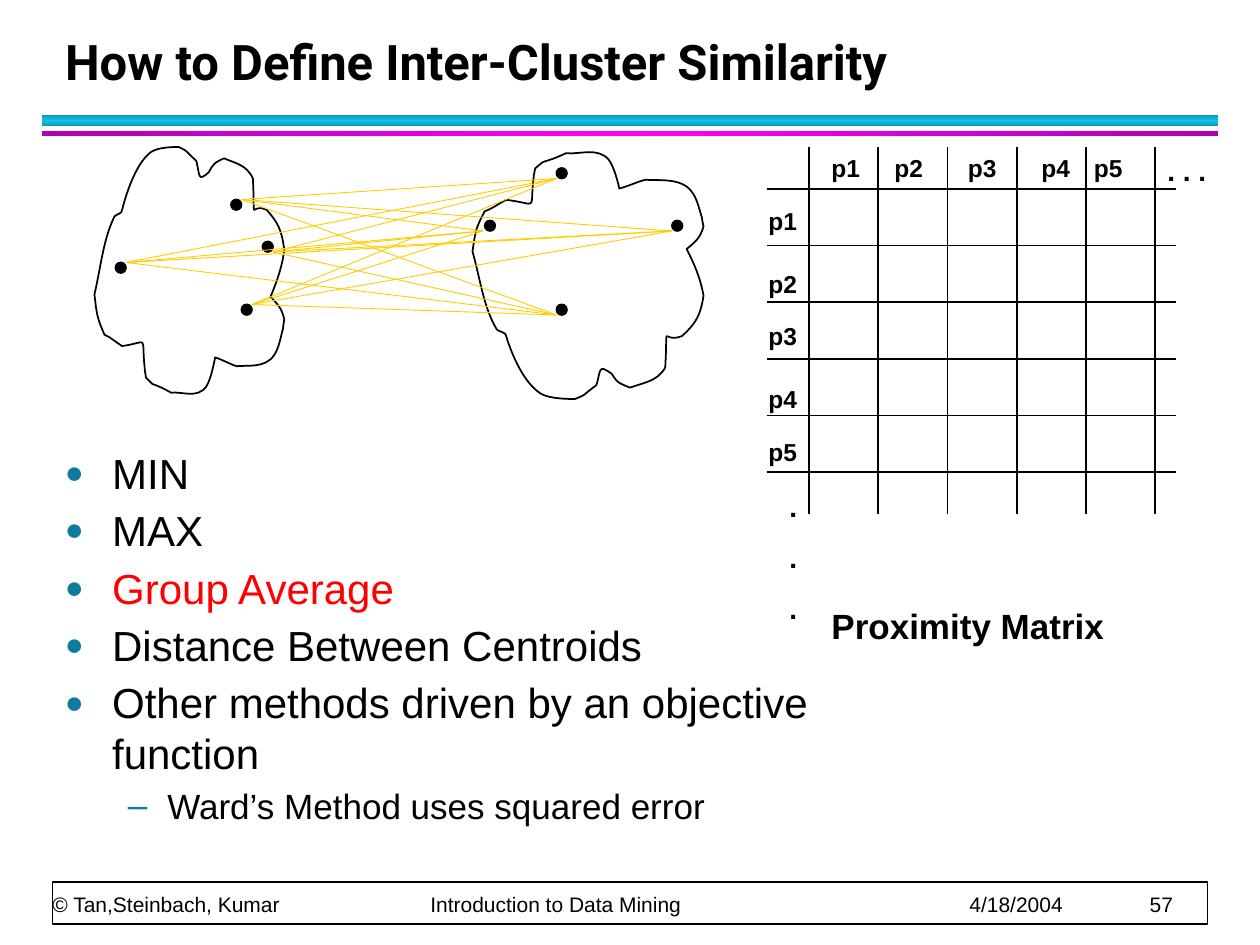
from itertools import product

from lxml import etree
from pptx import Presentation
from pptx.dml.color import RGBColor
from pptx.enum.shapes import MSO_CONNECTOR as CONN, MSO_SHAPE as SHAPE
from pptx.enum.text import MSO_ANCHOR as ANCHOR, MSO_AUTO_SIZE as AUTO, PP_ALIGN as ALIGN
from pptx.oxml import parse_xml
from pptx.oxml.ns import nsdecls, qn
from pptx.util import Pt

COLORS = {
    "black": "000000", "white": "FFFFFF", "red": "FF0000", "link": "FFCC00",
    "bullet": "0C7B9C", "teal": "0E9AB9", "cyan": "12C2E9",
    "purple": "B100B1", "magenta": "FF00FF",
}

OUTLINE_SIZE = (151, 200)
OUTLINE_START = (16, 55)
OUTLINE_CURVES = [
    (7, 73, 5, 96, 0, 117), (2, 134, 2, 135, 8, 149),
    (13, 151, 17, 155, 22, 158), (44, 155, 37, 148, 40, 176),
    (40, 179, 41, 181, 41, 183), (48, 190, 44, 187, 51, 190),
    (54, 191, 61, 195, 61, 195), (70, 194, 82, 200, 89, 190),
    (93, 184, 96, 167, 96, 167), (102, 169, 107, 172, 113, 174),
    (121, 173, 136, 176, 143, 165), (147, 159, 148, 151, 150, 144),
    (150, 142, 151, 137, 151, 137), (149, 128, 146, 125, 140, 119),
    (145, 107, 149, 96, 151, 82), (149, 66, 146, 60, 137, 50),
    (123, 43, 128, 65, 126, 25), (121, 14, 112, 13, 103, 9),
    (97, 12, 95, 12, 91, 20), (82, 28, 84, 23, 81, 11),
    (70, 1, 75, 4, 67, 0), (63, 0, 51, 0, 45, 4),
    (34, 12, 26, 34, 22, 50), (22, 53, 18, 53, 16, 55),
]

LEFT_DOTS = [(138, 174), (150, 138), (66, 150), (132, 114)]
RIGHT_DOTS = [(318, 174), (277, 126), (318, 96), (384, 126)]
LEFT_ENDS = [(144, 174), (156, 144), (72, 150), (138, 114)]
RIGHT_ENDS = [(318, 180), (276, 132), (318, 102), (384, 132)]

COLUMN_LABEL_X = [468, 504, 546, 588, 618]
ROW_LABEL_Y = [114, 150, 180, 216, 246]

METHODS = [
    ("MIN", "black", 0), ("MAX", "black", 0), ("Group Average", "red", 0),
    ("Distance Between Centroids", "black", 0),
    ("Other methods driven by an objective function", "black", 0),
    ("Ward’s Method uses squared error", "black", 1),
]
LEVELS = [("●", 24, 27, -27), ("–", 20, 58.5, -22.5)]


def rgb(name):
    return RGBColor.from_string(COLORS[name])


def add_run(p, text, size, color="black", bold=False, font="Arial"):
    r = p.add_run()
    r.text = text
    r.font.name = font
    r.font.size = Pt(size)
    r.font.bold = bold
    r.font.color.rgb = rgb(color)


def add_box(s, left, top, width, height):
    tf = s.shapes.add_textbox(Pt(left), Pt(top), Pt(width), Pt(height)).text_frame
    tf.word_wrap = True
    return tf


def add_label(s, left, top, lines, size=14, width=42, height=24.5):
    tf = add_box(s, left, top, width, height)
    for i, text in enumerate(lines):
        p = tf.add_paragraph() if i else tf.paragraphs[0]
        p.space_before = Pt(size * 0.625)
        add_run(p, text, size, bold=True)


def add_line(s, start, end, color="black", width=1):
    points = [Pt(v) for v in (*start, *end)]
    line = s.shapes.add_connector(CONN.STRAIGHT, *points)
    line.line.color.rgb = rgb(color)
    line.line.width = Pt(width)
    etree.SubElement(line._element.spPr, qn("a:effectLst"))


def add_solid(s, kind, left, top, width, height, fill):
    sp = s.shapes.add_shape(kind, Pt(left), Pt(top), Pt(width), Pt(height))
    sp.shadow.inherit = False
    sp.fill.solid()
    sp.fill.fore_color.rgb = rgb(fill)
    sp.line.color.rgb = rgb("black")
    sp.line.width = Pt(1)
    return sp


def add_band(s, top, height, edge, middle, angle):
    sp = add_solid(s, SHAPE.RECTANGLE, 24, top, 672, height, edge)
    sp.line.fill.background()
    stops = "".join(
        f'<a:gs pos="{pos}"><a:srgbClr val="{COLORS[name]}"/></a:gs>'
        for pos, name in ((0, edge), (50000, middle), (100000, edge)))
    grad = parse_xml(
        f'<a:gradFill {nsdecls("a")} rotWithShape="1"><a:gsLst>{stops}</a:gsLst>'
        f'<a:lin ang="{angle * 60000}" scaled="0"/></a:gradFill>')
    solid = sp._element.spPr.find(qn("a:solidFill"))
    solid.getparent().replace(solid, grad)


def add_cluster(s, left, top, width, height, dots, flipped=False):
    w, h = OUTLINE_SIZE

    def place(x, y):
        y = h - y if flipped else y
        return Pt(left + x * width / w), Pt(top + y * height / h)

    curves = [[place(*c[i:i + 2]) for i in (0, 2, 4)] for c in OUTLINE_CURVES]
    fb = s.shapes.build_freeform(*place(*OUTLINE_START))
    fb.add_line_segments([c[-1] for c in curves], close=True)
    sp = fb.convert_to_shape()
    segments = list(sp._element.iter(qn("a:lnTo")))
    for segment, curve in zip(segments, curves):
        bezier = etree.Element(qn("a:cubicBezTo"))
        for x, y in curve:
            etree.SubElement(bezier, qn("a:pt"), x=str(x - sp.left), y=str(y - sp.top))
        segment.getparent().replace(segment, bezier)
    sp.shadow.inherit = False
    sp.fill.background()
    sp.line.color.rgb = rgb("black")
    sp.line.width = Pt(1)
    for x, y in dots:
        add_solid(s, SHAPE.OVAL, x, y, 6, 6, "black")


def add_matrix(s):
    for i in range(6):
        x, y = 462.2 + 39.6 * i, 107.9 + 32.4 * i
        add_line(s, (x, 84), (x, 294))
        add_line(s, (438.2, y), (672, y))
    for i, (x, y) in enumerate(zip(COLUMN_LABEL_X, ROW_LABEL_Y), 1):
        add_label(s, x, 84, [f"p{i}"])
        add_label(s, 432, y, [f"p{i}"])
    add_label(s, 660, 84, [". . ."], 16, height=26.5)
    add_label(s, 444, 276, ["."] * 3, 16, height=85)
    add_label(s, 468, 342, ["Proximity Matrix"], 20, 198, 31.5)


def add_methods(s):
    tf = add_box(s, 30, 252, 456, 246)
    for i, (text, color, level) in enumerate(METHODS):
        p = tf.add_paragraph() if i else tf.paragraphs[0]
        char, size, margin, indent = LEVELS[level]
        p.level = level
        p.space_before = p.space_after = Pt(2)
        add_run(p, text, size, color)
        pPr = p._p.get_or_add_pPr()
        pPr.set("marL", str(Pt(margin)))
        pPr.set("indent", str(Pt(indent)))
        clr = etree.SubElement(pPr, qn("a:buClr"))
        etree.SubElement(clr, qn("a:srgbClr"), val=COLORS["bullet"])
        if level == 0:
            etree.SubElement(pPr, qn("a:buSzPct"), val="75000")
        etree.SubElement(pPr, qn("a:buFont"), typeface="Arial")
        etree.SubElement(pPr, qn("a:buChar"), char=char)


def add_title(s):
    title = s.shapes.title
    title.left, title.top, title.width, title.height = Pt(30), Pt(12.5), Pt(652), Pt(43)
    tf = title.text_frame
    tf.auto_size = AUTO.NONE
    tf.vertical_anchor = ANCHOR.BOTTOM
    p = tf.paragraphs[0]
    p.alignment = ALIGN.LEFT
    p.line_spacing = Pt(36)
    add_run(p, "How to Define Inter-Cluster Similarity", 28, bold=True, font="Roboto")


def add_footer(s):
    add_solid(s, SHAPE.RECTANGLE, 30, 504, 660, 24, "white")
    tf = add_box(s, 30, 484, 659, 40)
    tf.margin_left = tf.margin_top = tf.margin_right = tf.margin_bottom = 0
    tf.vertical_anchor = ANCHOR.BOTTOM
    p = tf.paragraphs[0]
    p.line_spacing = Pt(20)
    add_run(p, "© Tan,Steinbach, Kumar\tIntroduction to Data Mining\t4/18/2004\t57", 12)
    tabs = etree.SubElement(p._p.get_or_add_pPr(), qn("a:tabLst"))
    for pos in (216, 524, 627):
        etree.SubElement(tabs, qn("a:tab"), pos=str(Pt(pos)), algn="l")


def main():
    prs = Presentation()
    prs.slide_width, prs.slide_height = Pt(720), Pt(540)
    s = prs.slides.add_slide(prs.slide_layouts[5])
    add_band(s, 66, 6, "teal", "cyan", 90)
    add_band(s, 75, 3, "purple", "magenta", 180)
    add_footer(s)
    add_title(s)
    add_matrix(s)
    add_cluster(s, 54, 84, 108.5, 144, LEFT_DOTS)
    add_cluster(s, 270, 84, 132, 144, RIGHT_DOTS, flipped=True)
    for start, end in product(LEFT_ENDS, RIGHT_ENDS):
        add_line(s, start, end, "link", 0.5)
    add_methods(s)
    prs.save("out.pptx")


if __name__ == "__main__":
    main()
